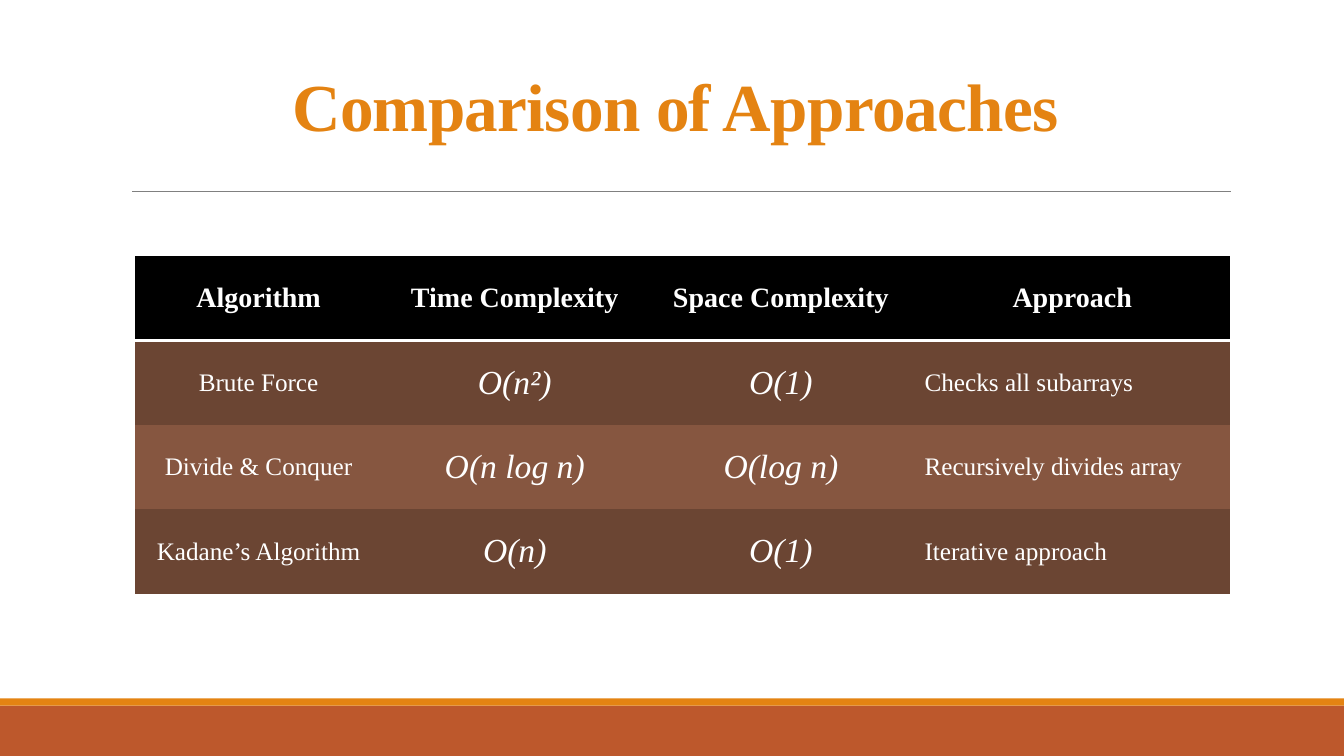
from lxml.etree import SubElement
from pptx import Presentation
from pptx.dml.color import RGBColor
from pptx.enum.shapes import MSO_CONNECTOR, MSO_SHAPE
from pptx.enum.text import MSO_ANCHOR, PP_ALIGN
from pptx.oxml import parse_xml
from pptx.oxml.ns import nsdecls, qn
from pptx.util import Inches, Pt

COLORS = {
    "orange": "E48312", "rust": "BD582C", "rule": "808080", "white": "FFFFFF",
    "header": "000000", "dark_row": "6B4533", "light_row": "865640",
}
FONT = "Times New Roman"
NO_GRID_STYLE = "{2D5ABB26-0587-4C30-8999-92F81FD0307C}"
SLIDE_WIDTH, SLIDE_HEIGHT = 13.33, 7.5

COLUMN_WIDTHS = [2.45, 2.63, 2.65, 3.13]
ROWS = [
    ["Algorithm", "Time Complexity", "Space Complexity", "Approach"],
    ["Brute Force", "O(n²)", "O(1)", "Checks all subarrays"],
    ["Divide & Conquer", "O(n log n)", "O(log n)", "Recursively divides array"],
    ["Kadane’s Algorithm", "O(n)", "O(1)", "Iterative approach"],
]


def rgb(name):
    return RGBColor.from_string(COLORS[name])


def write_text(frame, text, size, color="white", bold=False, italic=False,
               align=PP_ALIGN.CENTER, line_spacing=None, tracking=None):
    para = frame.paragraphs[0]
    para.alignment = align
    if line_spacing:
        para.line_spacing = line_spacing
    span = para.add_run()
    span.text = text
    span.font.name = FONT
    span.font.size = Pt(size)
    span.font.bold = bold
    span.font.italic = italic
    span.font.color.rgb = rgb(color)
    if tracking:
        span._r.get_or_add_rPr().set("spc", str(int(tracking * 100)))


def add_band(page, top, height, color):
    band = page.shapes.add_shape(MSO_SHAPE.RECTANGLE, 0, Inches(top),
                                 Inches(SLIDE_WIDTH), Inches(height))
    band.shadow.inherit = False
    band.fill.solid()
    band.fill.fore_color.rgb = rgb(color)
    band.line.fill.background()


def add_footer(page, top, stripe_height=0.07):
    base_top = top + stripe_height
    add_band(page, base_top, SLIDE_HEIGHT - base_top, "rust")
    add_band(page, top, stripe_height, "orange")


def add_title(page, left, top, width, height):
    # Rule under the title
    bottom = Inches(top + height)
    rule = page.shapes.add_connector(MSO_CONNECTOR.STRAIGHT, Inches(left + 0.11), bottom,
                                     Inches(left + width + 0.01), bottom)
    rule.line.color.rgb = rgb("rule")
    rule.line.width = Pt(0.5)
    SubElement(rule._element.spPr, qn("a:effectLst"))

    # Title placeholder
    title = page.shapes.title
    title.left, title.top = Inches(left), Inches(top)
    title.width, title.height = Inches(width), Inches(height)
    title.text_frame.word_wrap = True
    title.text_frame.vertical_anchor = MSO_ANCHOR.MIDDLE
    write_text(title.text_frame, "Comparison of Approaches", 48, color="orange",
               bold=True, line_spacing=0.85, tracking=-0.5)


def add_bottom_border(cell, color, points):
    border = parse_xml(
        f'<a:lnB {nsdecls("a")} w="{Pt(points)}"><a:solidFill>'
        f'<a:srgbClr val="{COLORS[color]}"/></a:solidFill></a:lnB>')
    cell._tc.get_or_add_tcPr().insert(0, border)


def cell_format(row, column):
    if row == 0:
        return {"size": 20, "bold": True}
    if column in (1, 2):
        return {"size": 24, "italic": True}
    return {"size": 18, "align": PP_ALIGN.JUSTIFY if column == 3 else PP_ALIGN.CENTER}


def add_comparison_table(page, left, top, width, height):
    table = page.shapes.add_table(len(ROWS), len(COLUMN_WIDTHS), Inches(left), Inches(top),
                                  Inches(width), Inches(height)).table
    table._tbl.tblPr.find(qn("a:tableStyleId")).text = NO_GRID_STYLE
    for column, column_width in zip(table.columns, COLUMN_WIDTHS):
        column.width = Inches(column_width)
    for row, texts in enumerate(ROWS):
        table.rows[row].height = Inches(height / len(ROWS))
        fill = "header" if row == 0 else "dark_row" if row % 2 else "light_row"
        for column, text in enumerate(texts):
            cell = table.cell(row, column)
            cell.vertical_anchor = MSO_ANCHOR.MIDDLE
            cell.fill.solid()
            cell.fill.fore_color.rgb = rgb(fill)
            write_text(cell.text_frame, text, **cell_format(row, column))
            if row == 0:
                add_bottom_border(cell, "white", 2)


def main():
    deck = Presentation()
    deck.slide_width = Inches(SLIDE_WIDTH)
    deck.slide_height = Inches(SLIDE_HEIGHT)
    page = deck.slides.add_slide(deck.slide_layouts[5])
    add_footer(page, 6.93)
    add_title(page, 1.2, 0.31, 11, 1.59)
    add_comparison_table(page, 1.34, 2.54, sum(COLUMN_WIDTHS), 3.35)
    deck.save("out.pptx")


if __name__ == "__main__":
    main()
